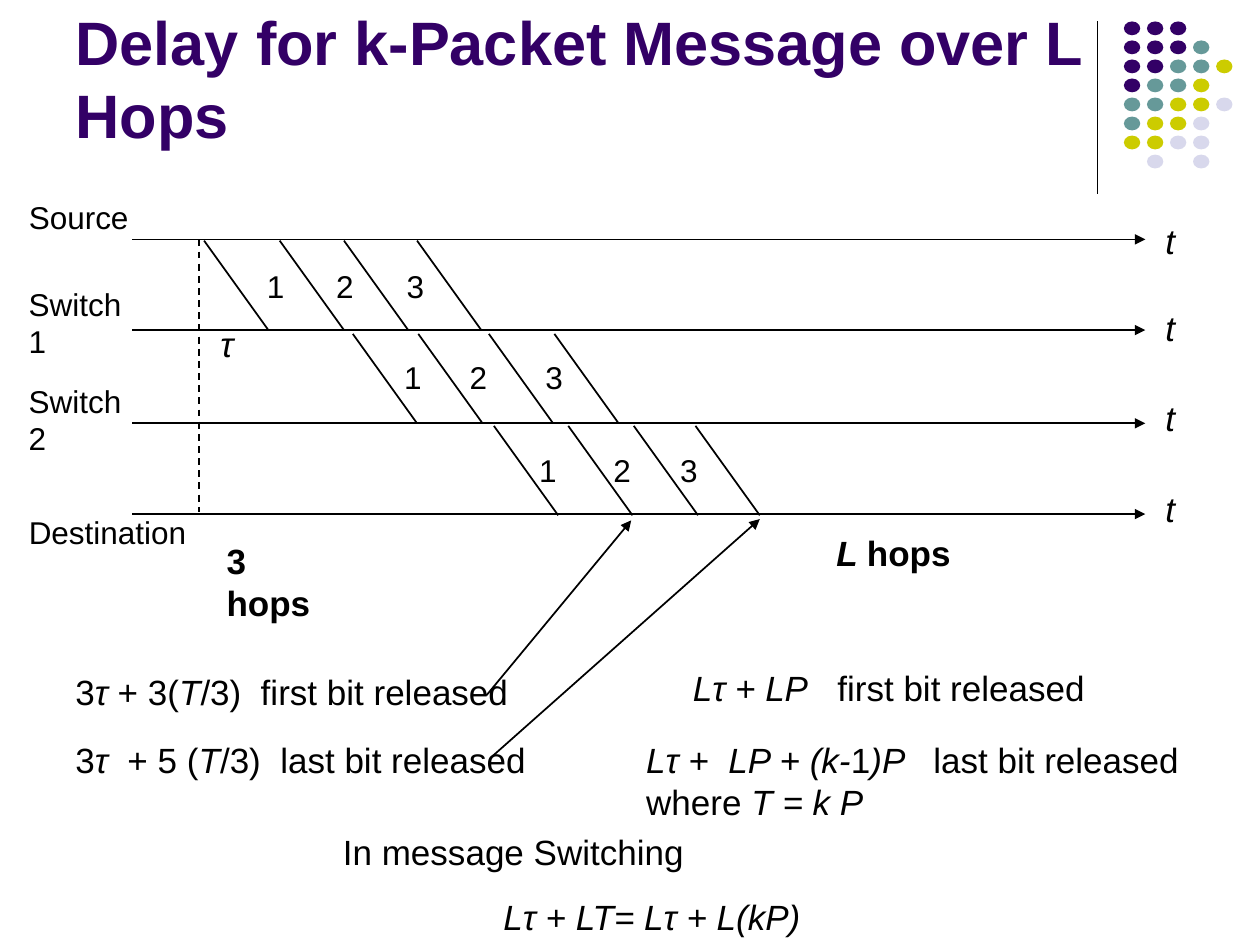
import pptx
import pptx.util
import pptx.dml.color
import pptx.enum.dml
import pptx.enum.shapes
import pptx.enum.text
import pptx.oxml
import pptx.oxml.ns

Inches = pptx.util.Inches
Pt = pptx.util.Pt
ALIGN = pptx.enum.text.PP_ALIGN
ANCHOR = pptx.enum.text.MSO_ANCHOR
COLORS = {"black": "000000", "purple": "330066", "teal": "669999",
          "lime": "CCCC00", "lilac": "D8D8EC"}
DOTS = ["PPP", "PPPT", "PPTTL", "PTTL", "TTLL.V", "TLLV", "LLVV", ".V.V"]
DOTS[4] = "TTLLV"
DOT_COLORS = {"P": "purple", "T": "teal", "L": "lime", "V": "lilac"}
BODY = {"size": Pt(20), "name": "Arial"}
LABEL = {"size": Pt(18), "name": "Arial"}
TITLE = {"size": Pt(35), "name": "Arial", "bold": True}
ITALIC = {"italic": True}
BOLD = {"bold": True}


def rgb(name):
    return pptx.dml.color.RGBColor.from_string(COLORS[name])


def set_font(r, fmt, color="black"):
    for key, value in fmt.items():
        setattr(r.font, key, value)
    r.font.color.rgb = rgb(color)


def add_text(s, box, paragraphs, base=BODY, wrap=False, align=ALIGN.LEFT):
    sp = s.shapes.add_textbox(*[Inches(v) for v in box])
    tf = sp.text_frame
    tf.word_wrap = wrap
    tf.auto_size = pptx.enum.text.MSO_AUTO_SIZE.SHAPE_TO_FIT_TEXT
    for i, runs in enumerate(paragraphs):
        p = tf.paragraphs[0] if i == 0 else tf.add_paragraph()
        p.alignment = align
        for text, fmt in runs:
            r = p.add_run()
            r.text = text
            set_font(r, {**base, **fmt})
    return sp


def add_line(s, x1, y1, x2, y2, width=1, arrow=False, dashed=False):
    sp = s.shapes.add_connector(pptx.enum.shapes.MSO_CONNECTOR.STRAIGHT,
                                Inches(x1), Inches(y1), Inches(x2), Inches(y2))
    sp.line.color.rgb = rgb("black")
    sp.line.width = Pt(width)
    if dashed:
        sp.line.dash_style = pptx.enum.dml.MSO_LINE.DASH
    if arrow:
        tail = pptx.oxml.parse_xml(
            f'<a:tailEnd {pptx.oxml.ns.nsdecls("a")} type="triangle"/>')
        sp.line._get_or_add_ln().append(tail)
    sp._element.spPr.append(pptx.oxml.parse_xml(
        f'<a:effectLst {pptx.oxml.ns.nsdecls("a")}/>'))


def add_title(s, box):
    sp = s.shapes.title
    sp.left, sp.top, sp.width, sp.height = [Inches(v) for v in box]
    tf = sp.text_frame
    tf.word_wrap = True
    tf.auto_size = pptx.enum.text.MSO_AUTO_SIZE.NONE
    tf.vertical_anchor = ANCHOR.BOTTOM
    p = tf.paragraphs[0]
    p.alignment = ALIGN.LEFT
    r = p.add_run()
    r.text = "Delay for k-Packet Message over L Hops"
    set_font(r, TITLE, "purple")


def add_ornament(s, x, y):
    add_line(s, x, y, x, y + 1.37, width=0.75)
    for row, codes in enumerate(DOTS):
        for col, code in enumerate(codes):
            if code == ".":
                continue
            sp = s.shapes.add_shape(
                pptx.enum.shapes.MSO_SHAPE.OVAL,
                Inches(x + 0.21 + col * 0.183), Inches(y + row * 0.151),
                Inches(0.13), Inches(0.11))
            sp.shadow.inherit = False
            sp.fill.solid()
            sp.fill.fore_color.rgb = rgb(DOT_COLORS[code])
            sp.line.fill.background()


def add_timelines(s, x, y):
    axes = [("Source", 0, -0.38, 0.99, -0.21),
            ("Switch 1", 0.72, 0.31, 1.14, -0.24),
            ("Switch 2", 1.46, 1.08, 1.14, -0.26),
            ("Destination", 2.18, 2.12, 1.45, -0.26)]
    for name, dy, name_dy, width, t_dy in axes:
        add_line(s, x, y + dy, x + 8.04, y + dy, arrow=True)
        add_text(s, (x + 8.1, y + dy + t_dy, 0.27, 0.43), [[("t", ITALIC)]])
        add_text(s, (x - 0.92, y + name_dy, width, 0.4), [[(name, {})]], LABEL)
    add_line(s, x + 0.53, y, x + 0.53, y + 2.16, dashed=True)
    sp = add_text(s, (x + 0.59, y + 0.61, 0.32, 0.43), [[("τ", ITALIC)]],
                  align=ALIGN.CENTER)
    sp.text_frame.vertical_anchor = ANCHOR.MIDDLE

    hops = [(0.01, (0.57, 1.17, 1.68, 2.26), 0.17, (0.97, 1.52, 2.08)),
            (0.75, (1.75, 2.27, 2.83, 3.35), 0.89, (2.06, 2.58, 3.18)),
            (1.48, (2.87, 3.46, 3.98, 4.47), 1.63, (3.13, 3.72, 4.25))]
    for top, edges, label_dy, labels in hops:
        for dx in edges:
            add_line(s, x + dx, y + top, x + dx + 0.51, y + top + 0.71)
        for number, dx in enumerate(labels, 1):
            add_text(s, (x + dx, y + label_dy, 0.34, 0.4),
                     [[(str(number), {})]], LABEL)
    add_line(s, x + 2.81, y + 3.62, x + 3.96, y + 2.23, arrow=True)
    add_line(s, x + 2.86, y + 4.1, x + 4.98, y + 2.22, arrow=True)


def add_three_hops(s, x, y):
    add_text(s, (x + 1.2, y, 1, 0.76), [[("3 hops", BOLD)]], wrap=True)
    rows = [(1.04, 3.64, " + 3(", "/3)  first bit released"),
            (1.58, 3.78, "  + 5 (", "/3)  last bit released")]
    for dy, width, middle, ending in rows:
        add_text(s, (x, y + dy, width, 0.43),
                 [[("3", {}), ("τ", ITALIC), (middle, {}),
                   ("T", ITALIC), (ending, {})]])


def add_l_hops(s, x, y):
    add_text(s, (x + 1.51, y, 1.11, 0.43),
             [[("L ", {**BOLD, **ITALIC}), ("hops", BOLD)]])
    add_text(s, (x + 0.37, y + 1.07, 3.32, 0.43),
             [[("Lτ + LP", ITALIC), ("   first bit released", {})]])
    add_text(s, (x, y + 1.64, 4.82, 0.76),
             [[("Lτ +  LP + (k-", ITALIC), ("1", {}), (")P  ", ITALIC),
               (" last bit released", {})],
              [("where ", {}), ("T = k P", ITALIC)]], wrap=True)


def add_message_switching(s, x, y):
    add_text(s, (x, y, 6.61, 0.44), [[("In message Switching", {})]],
             wrap=True, align=ALIGN.CENTER)
    add_text(s, (x + 3.06, y + 0.52, 2.69, 0.44),
             [[("Lτ + LT= Lτ + L(kP)", ITALIC)]], align=ALIGN.CENTER)


def main():
    prs = pptx.Presentation()
    prs.slide_width, prs.slide_height = Inches(10), Inches(7.5)
    s = prs.slides.add_slide(prs.slide_layouts[5])
    add_ornament(s, 8.71, 0.17)
    add_timelines(s, 1.05, 1.9)
    add_three_hops(s, 0.5, 4.23)
    add_l_hops(s, 5.03, 4.17)
    add_message_switching(s, 0.77, 6.54)
    add_title(s, (0.5, 0.13, 8.25, 1.12))
    prs.save("out.pptx")


if __name__ == "__main__":
    main()
